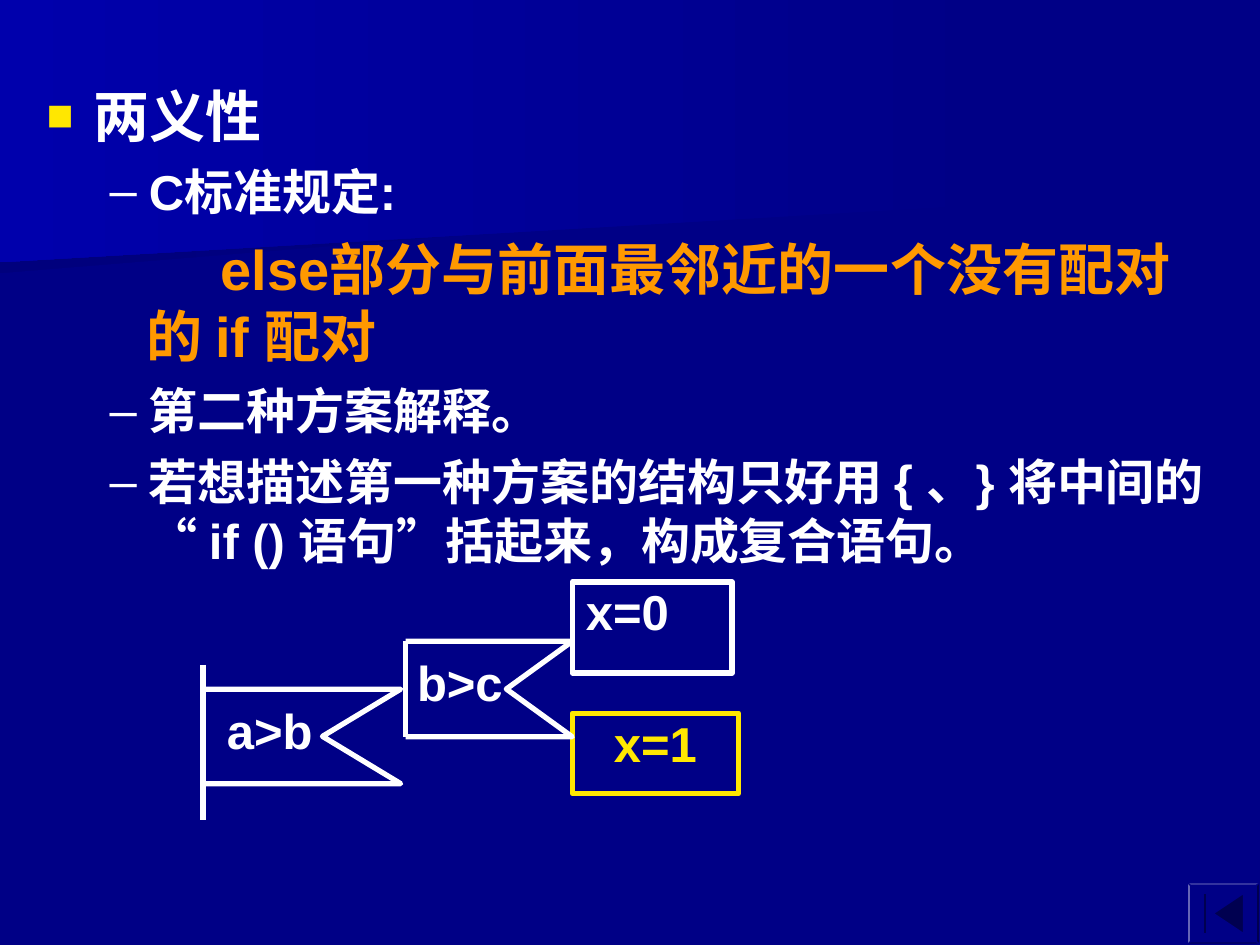
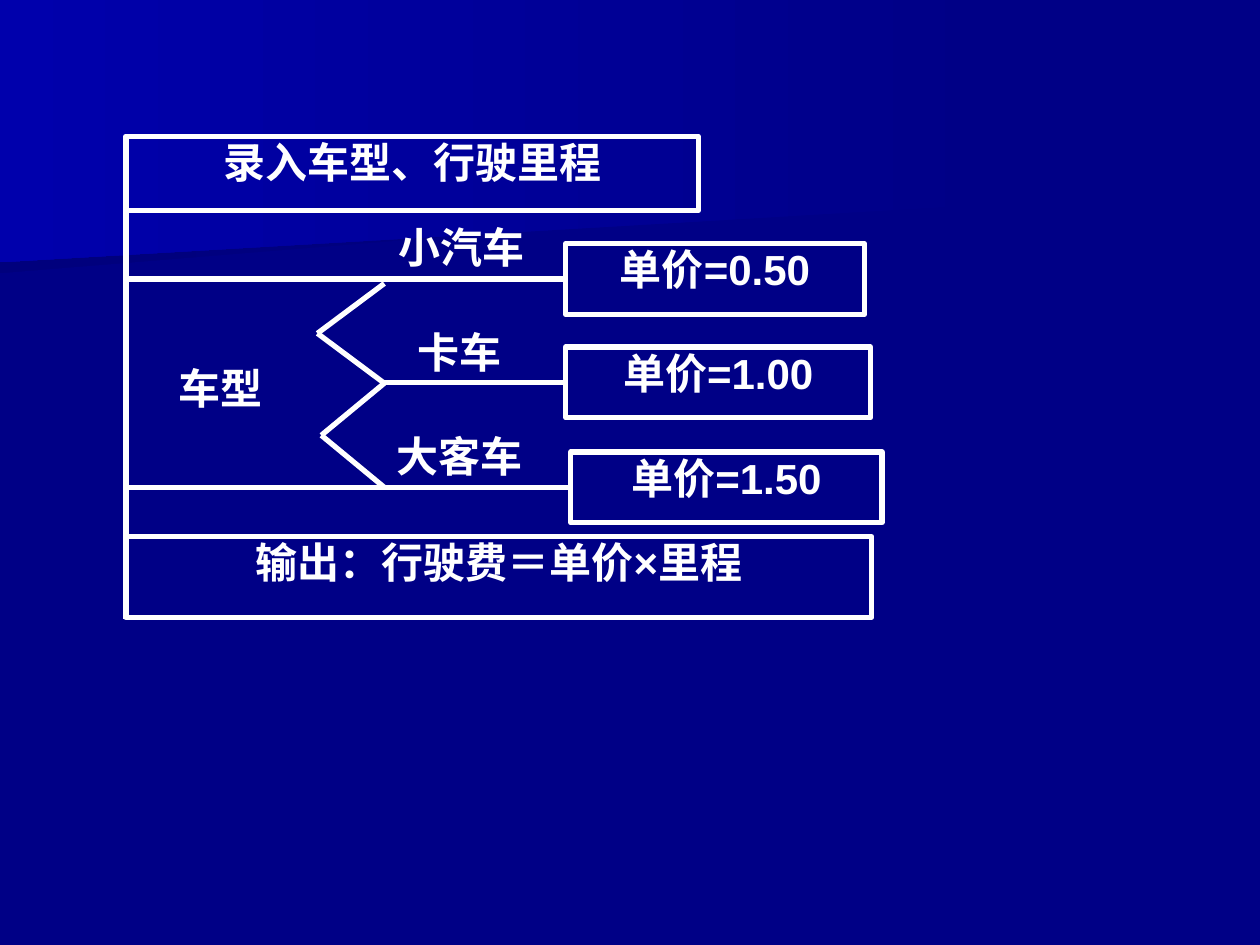
from dataclasses import dataclass

from lxml.etree import SubElement
from pptx import Presentation
from pptx.dml.color import RGBColor
from pptx.enum.shapes import MSO_CONNECTOR, MSO_SHAPE as Preset
from pptx.enum.text import MSO_ANCHOR as Anchor, MSO_AUTO_SIZE as AutoSize, PP_ALIGN as Align
from pptx.oxml.ns import qn
from pptx.util import Pt

COLORS = {
    "navy": "000086",
    "deep": "00007D",
    "glow": "0000AC",
    "icon": "000050",
    "white": "FFFFFF",
    "yellow": "FFE701",
    "orange": "FF9900",
}
FONT = "Arial"
LINE_WIDTH = 3


@dataclass(frozen=True)
class Band:
    points: tuple
    edge: str


@dataclass(frozen=True)
class Bullet:
    char: str
    color: str
    percent: int


@dataclass(frozen=True)
class Item:
    text: str
    size: int
    level: int
    margin: float
    indent: float
    before: float
    color: str = "white"
    bullet: Bullet | None = None


@dataclass(frozen=True)
class Label:
    text: str
    left: float
    top: float
    width: float
    height: float
    size: int = 24
    color: str = "white"
    align: Align = Align.CENTER
    inset: float = 0


@dataclass(frozen=True)
class Fork:
    left: float
    right: float
    tip: float
    top: float
    bottom: float
    trunk_top: float
    trunk_bottom: float


BANDS = (
    Band(((0, 156), (0, 72.7), (560.9, 72.7), (560.2, 110.2)), "deep"),
    Band(((0, 149.8), (0, 0), (570.2, 0), (570.2, 116.6)), "glow"),
)
SQUARE = Bullet("■", "yellow", 80)
DASH = Bullet("–", "white", 100)
ITEMS = (
    Item("两义性", 32, 0, 27, -27, 0, bullet=SQUARE),
    Item("C标准规定:", 28, 1, 58.5, -22.5, 7, bullet=DASH),
    Item("else部分与前面最邻近的一个没有配对的 if 配对", 32, 0, 57, 42.5, 8, "orange"),
    Item("第二种方案解释。", 28, 1, 58.5, -22.5, 7, bullet=DASH),
    Item("若想描述第一种方案的结构只好用 { 、} 将中间的 “ if () 语句”括起来，构成复合语句。",
         28, 1, 58.5, -22.5, 7, bullet=DASH),
)
FORKS = (
    Fork(116, 229, 184.3, 393.8, 447.8, 380, 468.7),
    Fork(231.8, 327, 289.4, 366.5, 421, 366.5, 421),
)
CONDITIONS = (
    Label("a>b", 129.6, 400.3, 76, 37, 28, align=Align.LEFT),
    Label("b>c", 238.3, 373, 84, 40, 28, align=Align.LEFT),
)
RESULTS = (
    Label("x=1", 327, 407.5, 95, 46, 28, "yellow"),
    Label("x=0", 327, 332.6, 91.4, 52, 28, align=Align.LEFT, inset=7.8),
)

STEPS = (
    Label("录入车型、行驶里程", 72, 77.8, 327, 42.5),
    Label("输出：行驶费＝单价×里程", 72, 306.7, 426.2, 46),
)
RATES = (
    Label("单价=0.50", 323.3, 139.3, 170.6, 40.4),
    Label("单价=1.00", 323.3, 198.3, 174.2, 40.4),
    Label("单价=1.50", 326.2, 258.3, 177.8, 40.4),
)
VEHICLES = (
    Label("车型", 102.2, 207.4, 73, 45, align=Align.LEFT),
    Label("小汽车", 227.5, 126.7, 161, 38, align=Align.LEFT),
    Label("卡车", 238.3, 186.5, 70.6, 32, align=Align.LEFT),
    Label("大客车", 226.8, 246.2, 122, 38, align=Align.LEFT),
)
BRANCH_STARTS = (72, 217.5, 72)
FORK_X = 219.6
FORK_YS = (162, 219, 278.5)
FORK_TIPS = (181.4, 183.6)


def rgb(name: str) -> RGBColor:
    return RGBColor.from_string(COLORS[name])


def style_shape(shape, fill: str | None, line: str | None, width: float = LINE_WIDTH) -> None:
    shape.shadow.inherit = False
    if fill:
        shape.fill.solid()
        shape.fill.fore_color.rgb = rgb(fill)
    else:
        shape.fill.background()
    if line:
        shape.line.color.rgb = rgb(line)
        shape.line.width = Pt(width)
    else:
        shape.line.fill.background()


def add_path(page, points: tuple, close: bool):
    (x, y), *rest = [(Pt(left), Pt(top)) for left, top in points]
    builder = page.shapes.build_freeform(x, y, scale=1.0)
    builder.add_line_segments(rest, close=close)
    return builder.convert_to_shape()


def add_band(page, band: Band) -> None:
    shape = add_path(page, band.points, True)
    style_shape(shape, None, None)
    shape.fill.gradient()
    shape.fill.gradient_angle = 180
    for stop, position, color in zip(shape.fill.gradient_stops, (0, 1), ("navy", band.edge)):
        stop.position = position
        stop.color.rgb = rgb(color)


def add_line(page, x1: float, y1: float, x2: float, y2: float):
    line = page.shapes.add_connector(MSO_CONNECTOR.STRAIGHT, Pt(x1), Pt(y1), Pt(x2), Pt(y2))
    line.line.color.rgb = rgb("white")
    line.line.width = Pt(LINE_WIDTH)
    SubElement(line.element.spPr, qn("a:effectLst"))
    return line


def set_font(para, size: float, color: str) -> None:
    para.font.name = FONT
    para.font.size = Pt(size)
    para.font.bold = True
    para.font.color.rgb = rgb(color)


def write_label(box, label: Label) -> None:
    frame = box.text_frame
    frame.word_wrap = True
    frame.vertical_anchor = Anchor.TOP
    frame.margin_top = frame.margin_right = frame.margin_bottom = 0
    frame.margin_left = Pt(label.inset)
    para = frame.paragraphs[0]
    para.text = label.text
    para.alignment = label.align
    set_font(para, label.size, label.color)


def bounds(label: Label) -> list:
    return [Pt(value) for value in (label.left, label.top, label.width, label.height)]


def add_caption(page, label: Label) -> None:
    write_label(page.shapes.add_textbox(*bounds(label)), label)


def add_frame(page, label: Label):
    box = page.shapes.add_shape(Preset.RECTANGLE, *bounds(label))
    style_shape(box, None, label.color)
    write_label(box, label)
    return box


def add_fork(page, fork: Fork) -> None:
    add_line(page, fork.left, fork.trunk_top, fork.left, fork.trunk_bottom)
    middle = (fork.top + fork.bottom) / 2
    points = ((fork.left, fork.top), (fork.right, fork.top), (fork.tip, middle),
              (fork.right, fork.bottom), (fork.left, fork.bottom))
    style_shape(add_path(page, points, False), None, "white")


def write_item(para, item: Item) -> None:
    para.text = item.text
    para.level = item.level
    para.alignment = Align.LEFT
    para.space_before = Pt(item.before)
    props = para._p.get_or_add_pPr()
    props.set("marL", str(Pt(item.margin)))
    props.set("indent", str(Pt(item.indent)))
    if item.bullet:
        color = SubElement(props, qn("a:buClr"))
        SubElement(color, qn("a:srgbClr"), val=COLORS[item.bullet.color])
        SubElement(props, qn("a:buSzPct"), val=str(item.bullet.percent * 1000))
        SubElement(props, qn("a:buFont"), typeface=FONT)
        SubElement(props, qn("a:buChar"), char=item.bullet.char)
    else:
        SubElement(props, qn("a:buNone"))
    set_font(para, item.size, item.color)


def add_back_button(page) -> None:
    button = page.shapes.add_shape(Preset.BEVEL, Pt(678.3), Pt(504), Pt(41.7), Pt(36))
    button.adjustments[0] = 0.06
    style_shape(button, "navy", "navy", 0.75)
    bar = page.shapes.add_shape(Preset.RECTANGLE, Pt(687.6), Pt(510.5), Pt(2.2), Pt(23))
    arrow = add_path(page, ((693.4, 522), (710.6, 510.5), (710.6, 533.5)), True)
    for mark in (bar, arrow):
        style_shape(mark, "icon", "navy", 0.75)


def add_page(deck, layout: int):
    page = deck.slides.add_slide(deck.slide_layouts[layout])
    for band in BANDS:
        add_band(page, band)
    return page


def build_ambiguity_page(deck) -> None:
    page = add_page(deck, 1)
    title, body = page.shapes.title, page.placeholders[1]
    tree = body.element.getparent()
    tree.remove(title.element)
    tree.append(body.element)
    body.left, body.top, body.width, body.height = Pt(19.4), Pt(43.2), Pt(683.3), Pt(453.6)
    frame = body.text_frame
    frame.auto_size = AutoSize.NONE
    frame.vertical_anchor = Anchor.TOP
    for index, item in enumerate(ITEMS):
        write_item(frame.add_paragraph() if index else frame.paragraphs[0], item)
    for result in RESULTS:
        add_frame(page, result)
    for fork in FORKS:
        add_fork(page, fork)
    for condition in CONDITIONS:
        add_caption(page, condition)
    add_back_button(page)


def build_fare_page(deck) -> None:
    page = add_page(deck, 6)
    add_line(page, 72, 77.8, 72, 354)
    for rate, start in zip(RATES, BRANCH_STARTS):
        box = add_frame(page, rate)
        middle = rate.top + rate.height / 2
        add_line(page, rate.left, middle, start, middle).begin_connect(box, 1)
    for tip, top, bottom in zip(FORK_TIPS, FORK_YS, FORK_YS[1:]):
        for y in (top, bottom):
            add_line(page, FORK_X, y, tip, (top + bottom) / 2)
    for vehicle in VEHICLES:
        add_caption(page, vehicle)
    for step in STEPS:
        add_frame(page, step)


def main() -> None:
    deck = Presentation()
    deck.slide_width, deck.slide_height = Pt(720), Pt(540)
    backdrop = deck.slide_master.background.fill
    backdrop.solid()
    backdrop.fore_color.rgb = rgb("navy")
    build_ambiguity_page(deck)
    build_fare_page(deck)
    deck.save("out.pptx")


if __name__ == "__main__":
    main()
